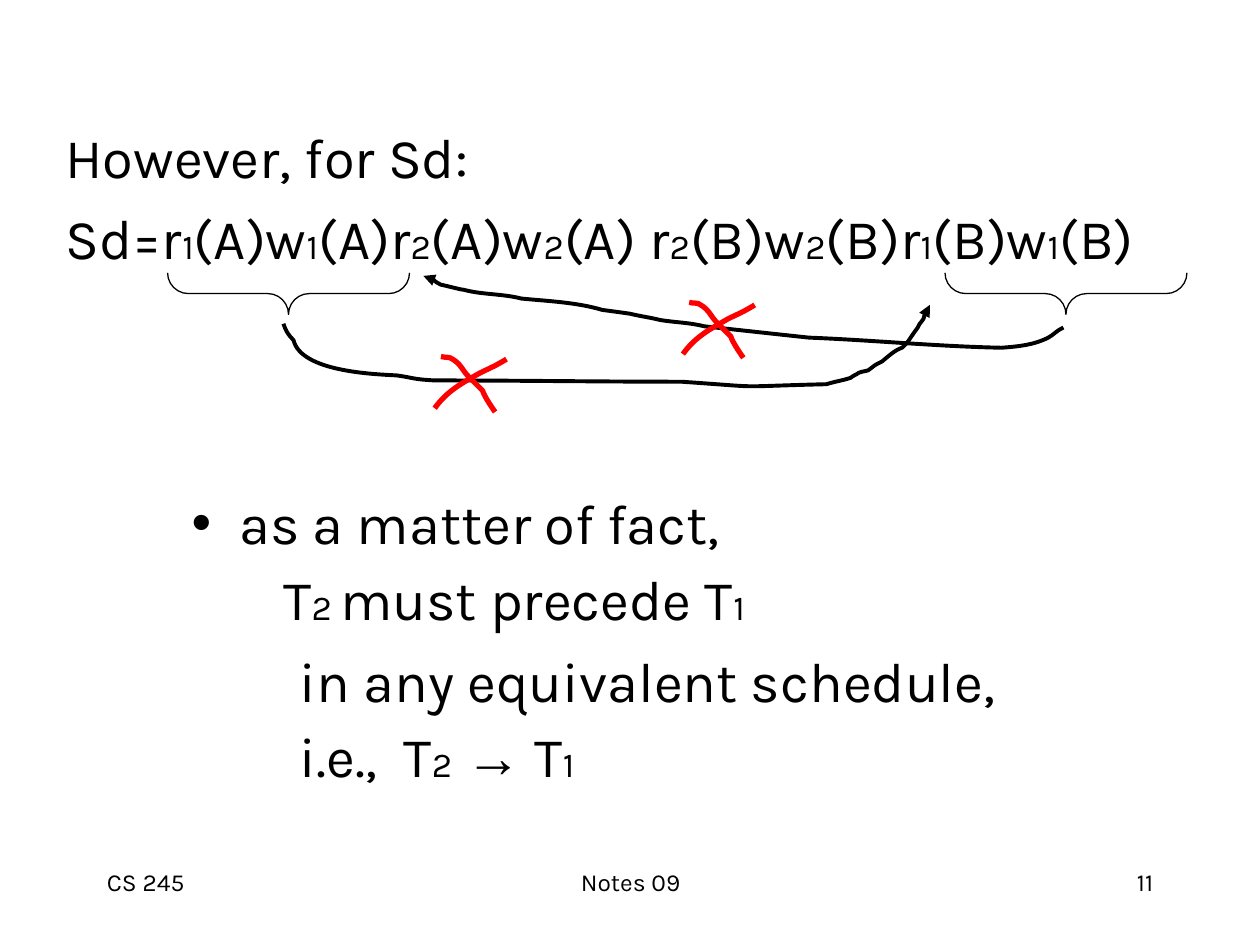
from lxml import etree
from pptx import Presentation
from pptx.dml.color import RGBColor
from pptx.enum.shapes import MSO_SHAPE
from pptx.enum.text import MSO_ANCHOR, MSO_AUTO_SIZE, PP_ALIGN
from pptx.oxml.ns import qn
from pptx.util import Inches, Pt

BLACK = RGBColor(0, 0, 0)
RED = RGBColor(255, 0, 0)
BRACE = MSO_SHAPE.LEFT_BRACE
TOP, FIXED = MSO_ANCHOR.TOP, MSO_AUTO_SIZE.NONE
LEFT, MID, RIGHT = PP_ALIGN.LEFT, PP_ALIGN.CENTER, PP_ALIGN.RIGHT

deck = Presentation()
deck.slide_width, deck.slide_height = Inches(10), Inches(7.5)
U = deck.slide_width // 1000  # grid unit: a thousandth of the slide width
slide = deck.slides.add_slide(deck.slide_layouts[3])
shapes = slide.shapes


def write(para, text, sizes):
    """Fill a paragraph; parts between bars switch between the two sizes."""
    for i, part in enumerate(text.split("|")):
        for piece in filter(None, part.partition("→")):
            run = para.add_run()
            run.text = piece
            look = {"name": "Arial" if piece == "→" else "Karla",
                    "size": Pt(sizes[i % 2])}
            for key, value in look.items():
                setattr(run.font, key, value)
            run.font.color.rgb = BLACK


def curve(points, color, width, arrow=False):
    """Draw an open path: a start point, then three points per Bezier."""
    pen = shapes.build_freeform(*points[0], scale=U)
    pen.add_line_segments(points[1:], close=False)
    shape = pen.convert_to_shape()
    shape.shadow.inherit = False
    shape.fill.background()
    shape.line.color.rgb = color
    shape.line.width = Pt(width)
    # Join each three line ends into one Bezier
    steps = list(shape._element.iter(qn("a:lnTo")))
    for i in range(0, len(steps), 3):
        bend = etree.SubElement(steps[i].getparent(), qn("a:cubicBezTo"))
        for step in steps[i:i + 3]:
            bend.append(step[0])
            step.getparent().remove(step)
    if arrow:
        line = shape._element.spPr.find(qn("a:ln"))
        etree.SubElement(line, qn("a:tailEnd"), type="triangle")


# Body texts: text, left margin, hanging indent, space before, bullet
shapes.title._element.getparent().remove(shapes.title._element)
bodies = [
    ((42, 92, 925, 208), [
        ("However, for Sd:", 38, -38, 0, False),
        ("Sd=r|1|(A)w|1|(A)r|2|(A)w|2|(A) r|2|(B)w|2|(B)r|1|(B)w|1|(B)",
         38, -38, 8, False)]),
    ((142, 383, 767, 333), [
        ("as a matter of fact,", 38, -38, 0, True),
        ("T|2 |must precede T|1", 73, 0, 5, False),
        ("in any equivalent schedule,", 86, 0, 8, False),
        ("i.e.,  T|2| → T|1", 86, 0, 5, False)]),
]
for body, (area, rows) in zip(list(slide.placeholders), bodies):
    body.left, body.top, body.width, body.height = (v * U for v in area)
    frame = body.text_frame
    frame.auto_size, frame.vertical_anchor = FIXED, TOP
    for i, (text, margin, hang, gap, dot) in enumerate(rows):
        para = frame.add_paragraph() if i else frame.paragraphs[0]
        props = para._p.get_or_add_pPr()
        props.set("marL", str(margin * U))
        props.set("indent", str(hang * U))
        if not dot:
            etree.SubElement(props, qn("a:buNone"))
        para.space_before = Pt(gap)
        write(para, text, (32, 20))

# Braces under the operations of the first transaction
for mid in (229, 846):
    brace = shapes.add_shape(BRACE, (mid - 16.5) * U, 137 * U, 33 * U, 192 * U)
    brace.rotation = 270
    brace.adjustments[0] = 0.5
    brace.shadow.inherit = False
    brace.fill.background()
    brace.line.color.rgb = BLACK
    brace.line.width = Pt(0.75)

# Arrows between the groups
curve([(844, 260), (839, 262), (836, 266), (832, 268),
       (820, 274), (808, 275), (795, 276), (744, 275), (693, 270), (642, 268),
       (614, 265), (587, 262), (559, 259), (547, 256), (536, 256), (524, 254),
       (516, 252), (508, 251), (500, 249), (493, 248), (478, 246), (478, 246),
       (458, 240), (435, 239), (414, 237), (398, 233), (383, 234), (368, 230),
       (366, 230), (355, 227), (350, 226), (344, 223), (343, 219), (336, 219)],
      BLACK, 2.25, True)
curve([(225, 257), (227, 263), (229, 266), (233, 270),
       (239, 295), (296, 297), (315, 298), (329, 300), (327, 301), (345, 302),
       (410, 302), (475, 303), (541, 303), (614, 308), (575, 307), (656, 305),
       (662, 303), (669, 302), (675, 300), (676, 299), (678, 298), (680, 297),
       (682, 295), (686, 295), (689, 294), (696, 289), (692, 291), (700, 287),
       (705, 283), (710, 278), (716, 276), (723, 269), (719, 273), (727, 262),
       (728, 261), (729, 259), (730, 257), (731, 256), (733, 253), (733, 253),
       (734, 251), (734, 248), (735, 246), (735, 245), (738, 242), (738, 242)],
      BLACK, 2.25, True)

# Red crosses on the arrows
strokes = [
    [(0, 39), (10, 25), (22, 19), (36, 11), (42, 8), (47, 6), (52, 3),
     (54, 2), (57, 0), (57, 0)],
    [(5, -2), (8, -1), (12, -2), (14, 0), (21, 4), (22, 9), (27, 14),
     (31, 18), (38, 25), (38, 25), (40, 31), (48, 42), (48, 42)],
]
for left, top in ((345, 285), (542, 242)):
    for stroke in strokes:
        curve([(left + x, top + y) for x, y in stroke], RED, 3)

# Footer
for text, left, width, align in (("CS 245", 75, 208, LEFT),
                                 ("Notes 09", 342, 317, MID),
                                 ("11", 717, 208, RIGHT)):
    box = shapes.add_textbox(left * U, 683 * U, width * U, 50 * U)
    box.text_frame.word_wrap = True
    para = box.text_frame.paragraphs[0]
    para.alignment = align
    write(para, text, (14, 14))

deck.save("out.pptx")
